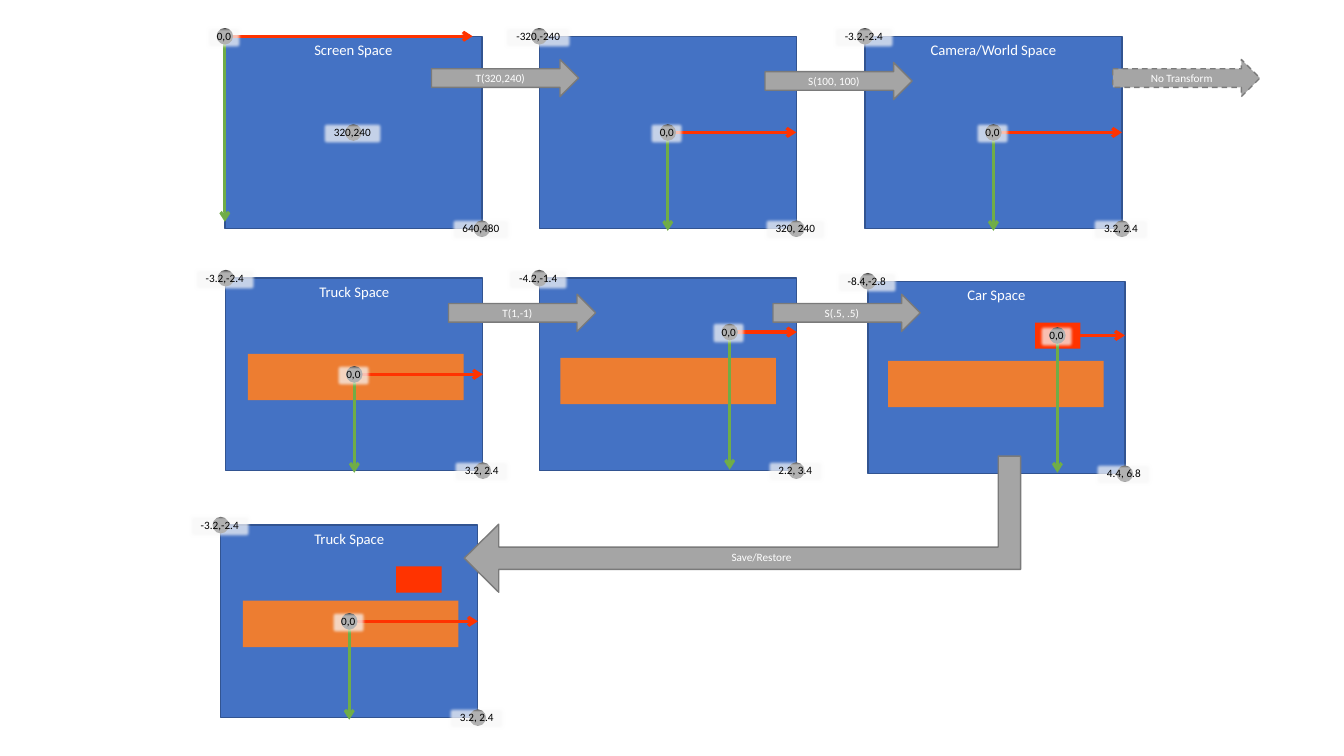
from dataclasses import dataclass
from typing import Optional

from lxml.etree import SubElement
from pptx import Presentation
from pptx.dml.color import RGBColor
from pptx.enum.dml import MSO_LINE
from pptx.enum.shapes import MSO_CONNECTOR, MSO_SHAPE as Preset
from pptx.enum.text import MSO_ANCHOR as Anchor, MSO_AUTO_SIZE, PP_ALIGN
from pptx.oxml.ns import qn
from pptx.util import Pt


@dataclass(frozen=True)
class Theme:
    """Colours, font and type sizes of the slide."""
    space: str = "4472C4"
    space_edge: str = "325491"
    truck: str = "ED7D31"
    car: str = "FF3300"
    x_axis: str = "FF3300"
    y_axis: str = "70AD47"
    arrow: str = "A5A5A5"
    arrow_edge: str = "7A7A7A"
    plate: str = "F8F8F8"
    dark: str = "000000"
    light: str = "FFFFFF"
    font: str = "Calibri"
    title_size: float = 10.5
    label_size: float = 8


@dataclass(frozen=True)
class Space:
    """One coordinate space; truck, car and axes are relative to its box."""
    left: float
    top: float
    title: str
    first_corner: str
    last_corner: str
    origin: tuple = (91.8, 68.7)
    axis_ends: tuple = (183.6, 139)
    truck: Optional[tuple] = None
    car: Optional[tuple] = None
    middle: str = ""


THEME = Theme()
WIDTH, HEIGHT = 183.6, 137.5
TRUCK_SIZE, CAR_SIZE = (154, 33.1), (32.4, 18.7)
DOT, PLATE_HEIGHT, PLATE_MARGINS = 10.8, 18.7, 14.4
DIGIT_WIDTH = 4.5
MARK_WIDTHS = {",": 4, ".": 2.3, " ": 2.1, "-": 2.8}
FLOW_SIZE = (105.1, 26.6)

SPACES = [
    Space(160.6, 25.9, "Screen Space", "0,0", "640,480", origin=(0, 0),
          axis_ends=(177, 132.5), middle="320,240"),
    Space(385.2, 25.9, "", "-320,-240", "320, 240"),
    Space(617.8, 25.9, "Camera/World Space", "-3.2,-2.4", "3.2, 2.4"),
    Space(161.3, 198.7, "Truck Space", "-3.2,-2.4", "3.2, 2.4", truck=(15.8, 54)),
    Space(385.2, 198.7, "", "-4.2,-1.4", "2.2, 3.4", origin=(136, 38.5),
          axis_ends=(184, 136.8), truck=(15.1, 56.9)),
    Space(619.9, 200.9, "Car Space", "-8.4,-2.8", "4.4, 6.8", origin=(135.4, 38.7),
          axis_ends=(183.6, 136.8), truck=(14.4, 56.9), car=(119.5, 29.5)),
    Space(157.7, 375.1, "Truck Space", "-3.2,-2.4", "3.2, 2.4", truck=(15.8, 54),
          car=(125.3, 29.5)),
]
FLOWS = [
    ("T(320,240)", 308.2, 42.5, False),
    ("S(100, 100)", 546.5, 44.6, False),
    ("T(1,-1)", 320.4, 210.2, False),
    ("S(.5, .5)", 552.2, 210.2, False),
    ("No Transform", 794.9, 42.5, True),
]


def add_block(shapes, preset, box, fill, edge=None):
    """Add a flat preset shape with an optional one-point edge."""
    shape = shapes.add_shape(preset, *map(Pt, box))
    shape.shadow.inherit = False
    shape.fill.solid()
    shape.fill.fore_color.rgb = RGBColor.from_string(fill)
    if edge:
        shape.line.color.rgb = RGBColor.from_string(edge)
        shape.line.width = Pt(1)
    else:
        shape.line.fill.background()
    return shape


def write(shape, text, size, color, anchor=Anchor.TOP, wrap=True):
    """Write one centred run; an unwrapped shape fits its text."""
    frame = shape.text_frame
    frame.word_wrap = wrap
    frame.vertical_anchor = anchor
    frame.auto_size = MSO_AUTO_SIZE.NONE if wrap else MSO_AUTO_SIZE.SHAPE_TO_FIT_TEXT
    paragraph = frame.paragraphs[0]
    paragraph.alignment = PP_ALIGN.CENTER
    run = paragraph.add_run()
    run.text = text
    run.font.size = Pt(size)
    run.font.name = THEME.font
    run.font.color.rgb = RGBColor.from_string(color)


def add_axis(shapes, start, end, color):
    """Add an axis arrow from start to end."""
    axis = shapes.add_connector(MSO_CONNECTOR.STRAIGHT, *map(Pt, start + end))
    axis.line.color.rgb = RGBColor.from_string(color)
    axis.line.width = Pt(2.25)
    SubElement(axis.line._get_or_add_ln(), qn("a:tailEnd"), type="arrow")
    SubElement(axis._element.spPr, qn("a:effectLst"))


def add_point(shapes, x, y, text):
    """Add a dot under a translucent, soft-edged coordinate plate."""
    add_block(shapes, Preset.OVAL, (x - DOT / 2, y - DOT / 2, DOT, DOT),
              THEME.dark, THEME.dark)
    width = PLATE_MARGINS + sum(MARK_WIDTHS.get(mark, DIGIT_WIDTH) for mark in text)
    box = (x - 0.7 - width / 2, y + 0.7 - PLATE_HEIGHT / 2, width, PLATE_HEIGHT)
    plate = add_block(shapes, Preset.RECTANGLE, box, THEME.plate)
    properties = plate._element.spPr
    color = properties.find(qn("a:solidFill")).find(qn("a:srgbClr"))
    SubElement(color, qn("a:alpha"), val="72000")
    SubElement(properties.find(qn("a:effectLst")), qn("a:softEdge"), rad="31750")
    write(plate, text, THEME.label_size, THEME.dark, wrap=False)


def add_space(slide, space):
    """Draw a coordinate space with its vehicles, axes and labelled points."""
    shapes = slide.shapes.add_group_shape().shapes

    def place(offset):
        return space.left + offset[0], space.top + offset[1]

    panel = add_block(shapes, Preset.RECTANGLE, place((0, 0)) + (WIDTH, HEIGHT),
                      THEME.space, THEME.space_edge)
    if space.title:
        write(panel, space.title, THEME.title_size, THEME.light)
    vehicles = ((space.truck, TRUCK_SIZE, THEME.truck), (space.car, CAR_SIZE, THEME.car))
    for offset, size, color in vehicles:
        if offset:
            add_block(shapes, Preset.RECTANGLE, place(offset) + size, color)
    origin = place(space.origin)
    right, bottom = place(space.axis_ends)
    add_axis(shapes, origin, (right, origin[1]), THEME.x_axis)
    add_axis(shapes, origin, (origin[0], bottom), THEME.y_axis)
    points = [((WIDTH / 2, HEIGHT / 2), space.middle), (space.origin, "0,0"),
              ((WIDTH, HEIGHT), space.last_corner)]
    if space.origin != (0, 0):
        points.append(((0, 0), space.first_corner))
    for offset, text in points:
        if text:
            add_point(shapes, *place(offset), text)


def add_flow(slide, text, left, top, dashed):
    """Draw a transform arrow leading to the next space."""
    arrow = add_block(slide.shapes, Preset.RIGHT_ARROW, (left, top) + FLOW_SIZE,
                      THEME.arrow, THEME.arrow_edge)
    if dashed:
        arrow.line.dash_style = MSO_LINE.DASH
    write(arrow, text, THEME.label_size, THEME.light, Anchor.MIDDLE)


def add_restore(slide, left, top, width, height):
    """Draw the bent arrow back to truck space inside the given box."""
    box = (left + (width - height) / 2, top + (height - width) / 2, height, width)
    arrow = add_block(slide.shapes, Preset.BENT_UP_ARROW, box,
                      THEME.arrow, THEME.arrow_edge)
    arrow.rotation = 90
    arrow._element.spPr.find(qn("a:xfrm")).set("flipV", "1")
    for index, value in enumerate((0.164, 0.25, 0.254)):
        arrow.adjustments[index] = value
    label = slide.shapes.add_textbox(Pt(left + 183.2), Pt(top + 63.7), Pt(58.3), Pt(17.3))
    write(label, "Save/Restore", THEME.label_size, THEME.light, wrap=False)


def main():
    """Build and save the slide."""
    presentation = Presentation()
    presentation.slide_width, presentation.slide_height = Pt(960), Pt(540)
    slide = presentation.slides.add_slide(presentation.slide_layouts[6])
    for space in SPACES:
        add_space(slide, space)
    for flow in FLOWS:
        add_flow(slide, *flow)
    add_restore(slide, 331.6, 325.8, 397.4, 97.2)
    presentation.save("out.pptx")


main()
